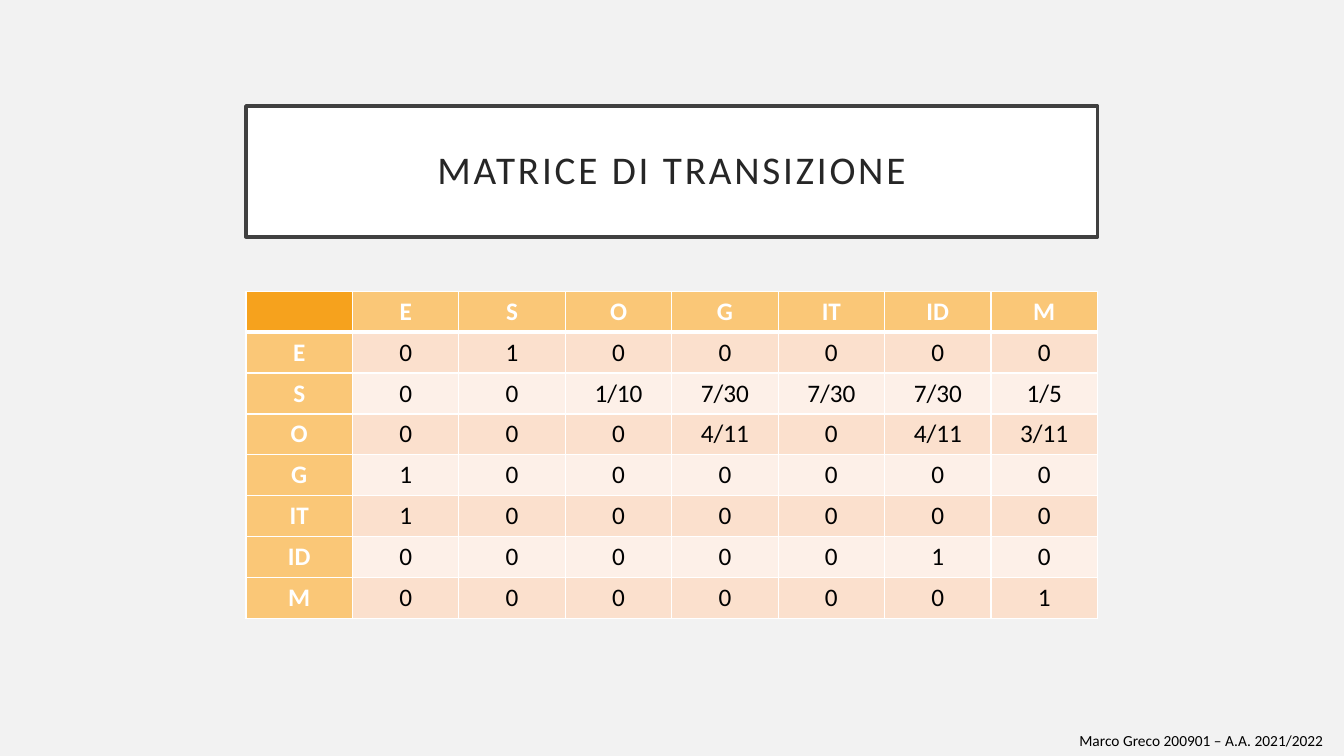
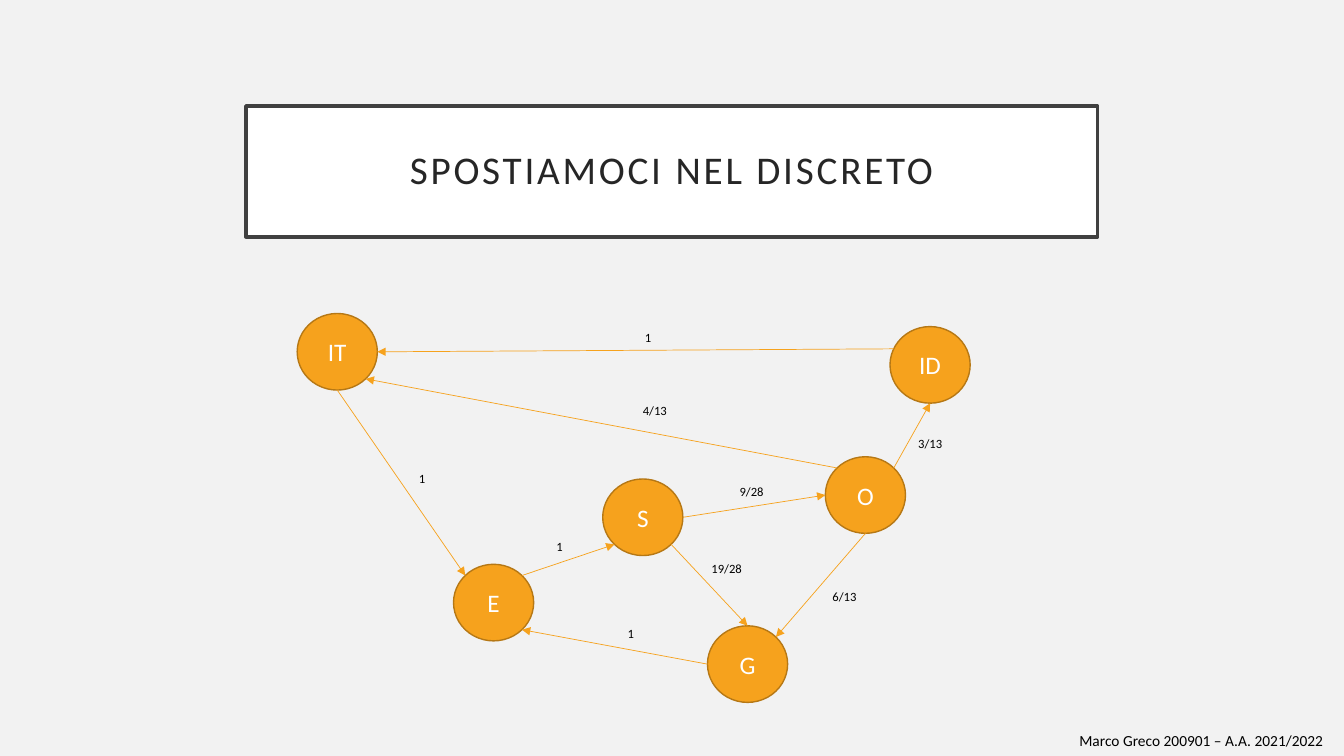
import math

import lxml.etree
import pptx
import pptx.dml.color
import pptx.enum.shapes
import pptx.enum.text
import pptx.oxml.ns
import pptx.util

Cm, Pt = pptx.util.Cm, pptx.util.Pt
ALIGN, ANCHOR = pptx.enum.text.PP_ALIGN, pptx.enum.text.MSO_ANCHOR
qn = pptx.oxml.ns.qn

FONT = "Calibri"
COLORS = {
    "page": "F2F2F2",
    "white": "FFFFFF",
    "black": "000000",
    "title": "262626",
    "frame": "404040",
    "orange": "F6A21D",
    "outline": "B67815",
    "header": "FAC777",
    "odd": "FBE0CD",
    "even": "FDF0E8",
}

# Boxes: left, top, width, height in cm
TITLE_BOX = (6.2, 2.67, 21.46, 3.3)
TABLE_BOX = (6.2, 7.34, 21.46, 8.24)
GRAPH_BOX = (7.49, 7.9, 16.95, 9.8)
FOOTER_BOX = (26.95, 18.31, 6.91, 0.74)
FOOTER = "Marco Greco 200901 – A.A. 2021/2022"

# Transition matrix
STATES = ["E", "S", "O", "G", "IT", "ID", "M"]
MATRIX = [
    ["0", "1", "0", "0", "0", "0", "0"],
    ["0", "0", "1/10", "7/30", "7/30", "7/30", "1/5"],
    ["0", "0", "0", "4/11", "0", "4/11", "3/11"],
    ["1", "0", "0", "0", "0", "0", "0"],
    ["1", "0", "0", "0", "0", "0", "0"],
    ["0", "0", "0", "0", "0", "1", "0"],
    ["0", "0", "0", "0", "0", "0", "1"],
]

# Graph: top left of each node, in cm from the corner of the graph box
NODE_W, NODE_H = 2.02, 1.93
NODES = {
    "E": (3.94, 6.32),
    "IT": (0, 0),
    "G": (10.34, 7.87),
    "ID": (14.94, 0.33),
    "O": (13.31, 3.61),
    "S": (7.7, 4.17),
}
# Ellipse sites run anticlockwise in eighths of a turn from the top
TOP, TOP_LEFT, LEFT, BOTTOM_LEFT, BOTTOM, BOTTOM_RIGHT, RIGHT, TOP_RIGHT = range(8)
UPPER_LEFT = 1.45
# From node and site, to node and site, weight, place of the weight
EDGES = [
    ("E", TOP_RIGHT, "S", BOTTOM_LEFT, "1", (6.28, 5.56)),
    ("O", TOP_LEFT, "IT", BOTTOM_RIGHT, "4/13", (8.46, 2.13)),
    ("S", RIGHT, "O", LEFT, "9/28", (10.9, 4.17)),
    ("S", BOTTOM_RIGHT, "G", TOP, "19/28", (10.19, 6.1)),
    ("O", TOP_RIGHT, "ID", BOTTOM, "3/13", (15.4, 2.97)),
    ("O", BOTTOM, "G", TOP_RIGHT, "6/13", (13.24, 6.81)),
    ("G", LEFT, "E", BOTTOM_RIGHT, "1", (8.08, 7.75)),
    ("IT", BOTTOM, "E", TOP_LEFT, "1", (2.82, 3.83)),
    ("ID", UPPER_LEFT, "IT", RIGHT, "1", (8.51, 0.3)),
]


def rgb(name):
    return pptx.dml.color.RGBColor.from_string(COLORS[name])


def paint(shape, fill, line, width):
    shape.fill.solid()
    shape.fill.fore_color.rgb = rgb(fill)
    shape.line.color.rgb = rgb(line)
    shape.line.width = Pt(width)


def add_run(p, text, size, color, bold=False):
    r = p.add_run()
    r.text = text
    r.font.name = FONT
    r.font.size = Pt(size)
    r.font.bold = bold
    r.font.color.rgb = rgb(color)
    return r


def add_text(s, box, text, size):
    tf = s.shapes.add_textbox(*map(Cm, box)).text_frame
    tf.word_wrap = True
    add_run(tf.paragraphs[0], text, size, "black")


def add_title(s, box, text):
    sp = s.shapes.title
    sp.left, sp.top, sp.width, sp.height = map(Cm, box)
    paint(sp, "white", "frame", 2.5)
    tf = sp.text_frame
    tf.word_wrap = True
    tf.auto_size = pptx.enum.text.MSO_AUTO_SIZE.NONE
    tf.vertical_anchor = ANCHOR.MIDDLE
    tf.margin_left = tf.margin_right = tf.margin_top = tf.margin_bottom = Cm(0.5)
    p = tf.paragraphs[0]
    p.alignment = ALIGN.CENTER
    p.line_spacing = 0.9
    r = add_run(p, text, 28, "title")
    r.font._element.set("spc", "200")


def new_slide(prs, title):
    s = prs.slides.add_slide(prs.slide_layouts[5])
    add_text(s, FOOTER_BOX, FOOTER, 11)
    add_title(s, TITLE_BOX, title)
    return s


def set_borders(cell, top, bottom):
    tcPr = cell._tc.get_or_add_tcPr()
    for side, width in (("L", 1), ("R", 1), ("T", top), ("B", bottom)):
        ln = lxml.etree.SubElement(tcPr, qn("a:ln" + side), w=str(Pt(width)))
        fill = lxml.etree.SubElement(ln, qn("a:solidFill"))
        lxml.etree.SubElement(fill, qn("a:srgbClr"), val=COLORS["white"])


def add_matrix(s, box):
    rows = [[""] + STATES] + [[n] + row for n, row in zip(STATES, MATRIX)]
    n = len(rows)
    table = s.shapes.add_table(n, n, *map(Cm, box)).table
    table.horz_banding = False
    for i, row in enumerate(rows):
        table.rows[i].height = Cm(box[3] / n)
        table.columns[i].width = Cm(box[2] / n)
        for j, text in enumerate(row):
            cell = table.cell(i, j)
            heading = i == 0 or j == 0
            # The rule under the header row is heavier
            set_borders(cell, 3 if i == 1 else 1, 3 if i == 0 else 1)
            if heading:
                fill = "header" if text else "orange"
            else:
                fill = "odd" if i % 2 else "even"
            cell.fill.solid()
            cell.fill.fore_color.rgb = rgb(fill)
            p = cell.text_frame.paragraphs[0]
            p.alignment = ALIGN.CENTER
            if text:
                add_run(p, text, 18, "white" if heading else "black", heading)


def add_node(s, x, y, name):
    sp = s.shapes.add_shape(pptx.enum.shapes.MSO_SHAPE.OVAL,
                            Cm(x), Cm(y), Cm(NODE_W), Cm(NODE_H))
    sp.shadow.inherit = False
    paint(sp, "orange", "outline", 1)
    tf = sp.text_frame
    tf.vertical_anchor = ANCHOR.MIDDLE
    p = tf.paragraphs[0]
    p.alignment = ALIGN.CENTER
    add_run(p, name, 18, "white")
    return sp


def site_point(sp, site):
    turn = site * math.pi / 4
    return (round(sp.left + sp.width / 2 * (1 - math.sin(turn))),
            round(sp.top + sp.height / 2 * (1 - math.cos(turn))))


def add_arrow(s, start, start_site, end, end_site):
    c = s.shapes.add_connector(pptx.enum.shapes.MSO_CONNECTOR.STRAIGHT,
                               *site_point(start, start_site),
                               *site_point(end, end_site))
    c.line.color.rgb = rgb("orange")
    c.line.width = Pt(0.5)
    lxml.etree.SubElement(c.line._get_or_add_ln(), qn("a:tailEnd"), type="triangle")
    lxml.etree.SubElement(c._element.spPr, qn("a:effectLst"))
    # Join to the eight sites of an ellipse
    links = c._element.find(".//" + qn("p:cNvCxnSpPr"))
    for tag, sp, site in (("a:stCxn", start, start_site), ("a:endCxn", end, end_site)):
        if site in range(8):
            lxml.etree.SubElement(links, qn(tag), id=str(sp.shape_id), idx=str(site))


def add_graph(s, box):
    left, top = box[:2]
    nodes = {name: add_node(s, left + x, top + y, name)
             for name, (x, y) in NODES.items()}
    for start, start_site, end, end_site, weight, (x, y) in EDGES:
        add_arrow(s, nodes[start], start_site, nodes[end], end_site)
        add_text(s, (left + x, top + y, 1.27, 0.64), weight, 9)


def main():
    prs = pptx.Presentation()
    prs.slide_width, prs.slide_height = Cm(33.87), Cm(19.05)
    fill = prs.slide_master.background.fill
    fill.solid()
    fill.fore_color.rgb = rgb("page")

    add_matrix(new_slide(prs, "MATRICE DI TRANSIZIONE"), TABLE_BOX)
    add_graph(new_slide(prs, "SPOSTIAMOCI NEL DISCRETO"), GRAPH_BOX)
    prs.save("out.pptx")


if __name__ == "__main__":
    main()
